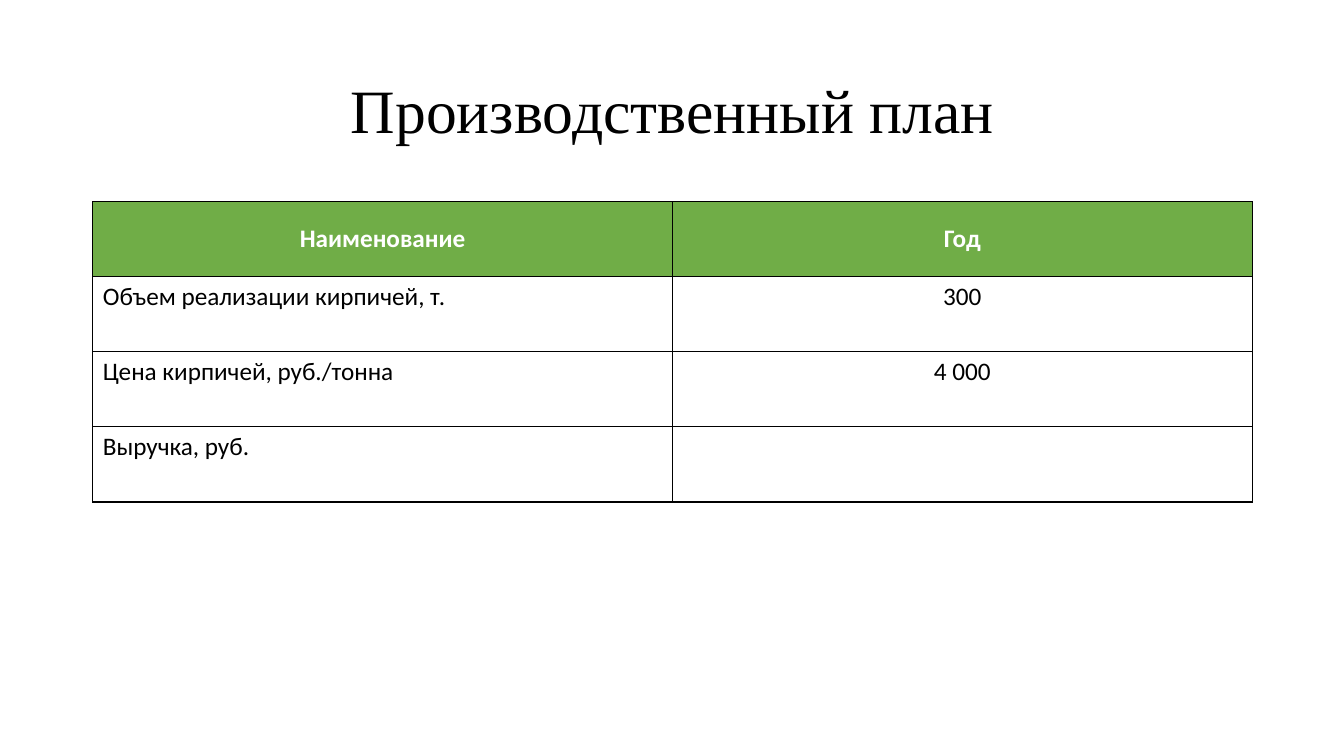
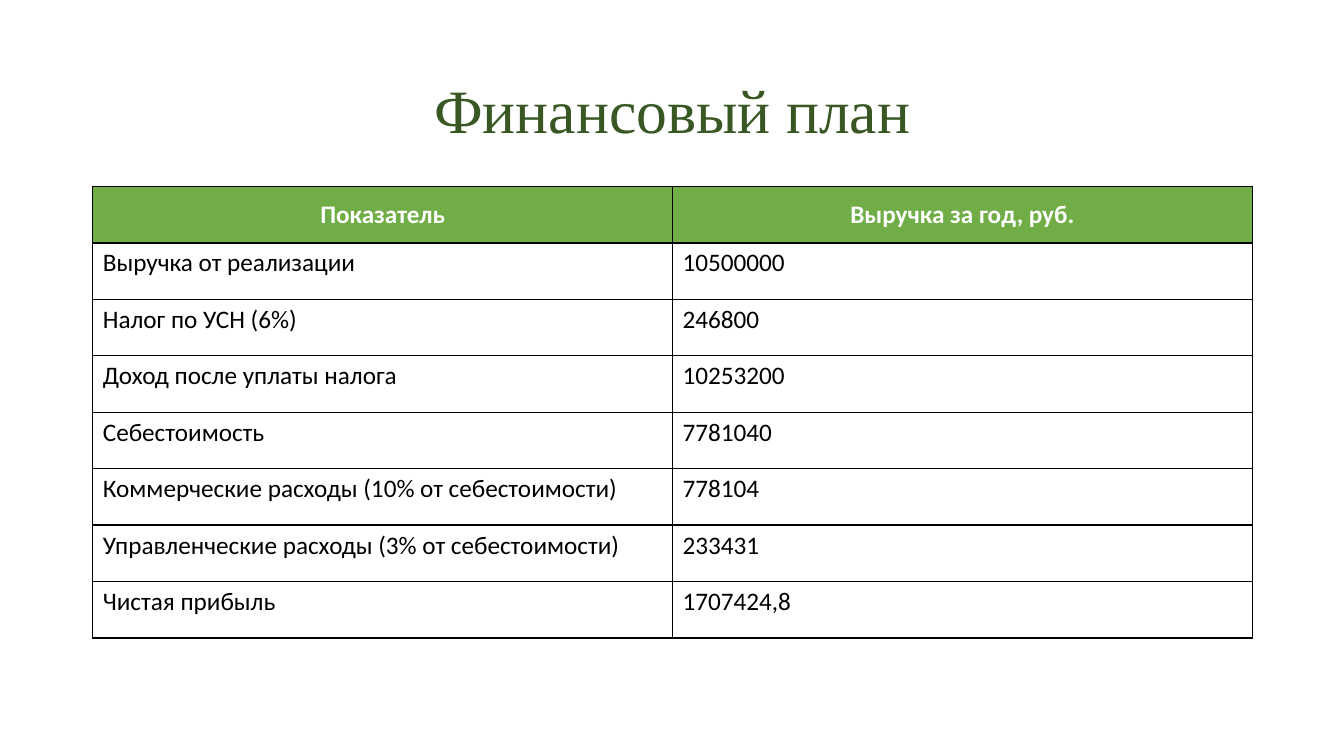
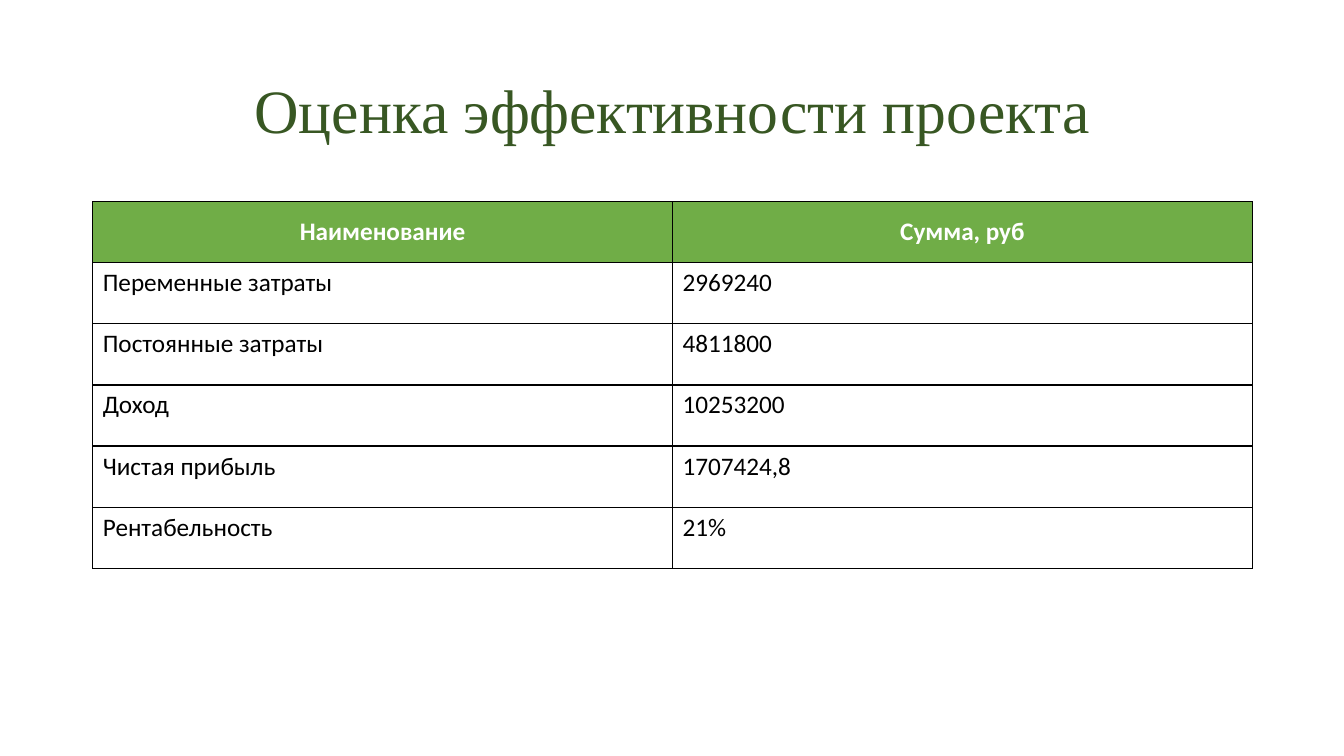
from lxml import etree
from pptx import Presentation
from pptx.dml.color import RGBColor
from pptx.enum.text import MSO_ANCHOR as Anchor, PP_ALIGN as Align
from pptx.oxml.ns import qn
from pptx.util import Inches, Pt

COLORS = {
    "black": "000000",
    "white": "FFFFFF",
    "header": "70AD47",
    "dark_green": "385723",
}
LEFT, WIDTH = 0.92, 11.5
TITLE_BOX = (LEFT, 0.4, WIDTH, 1.45)
TITLE_FONT, BODY_FONT = "Times New Roman", "Calibri"
TITLE_ONLY = 5


def color(name):
    return RGBColor.from_string(COLORS[name])


def set_font(para, name, size, color_name, bold=False):
    font = para.font
    font.name, font.size, font.bold = name, Pt(size), bold
    font.color.rgb = color(color_name)


def add_title(page, box, text, color_name):
    title = page.shapes.title
    title.left, title.top, title.width, title.height = map(Inches, box)
    frame = title.text_frame
    frame.text = text
    frame.word_wrap = True
    frame.vertical_anchor = Anchor.MIDDLE
    para = frame.paragraphs[0]
    para.alignment = Align.CENTER
    para.line_spacing = 0.9
    set_font(para, TITLE_FONT, 44, color_name)


def add_borders(cell):
    properties = cell._tc.get_or_add_tcPr()
    for side in ("lnL", "lnR", "lnT", "lnB"):
        line = etree.SubElement(properties, qn(f"a:{side}"), w=str(Pt(1)))
        fill = etree.SubElement(line, qn("a:solidFill"))
        etree.SubElement(fill, qn("a:srgbClr"), val=COLORS["black"])


def format_cell(cell, text, is_header, align):
    add_borders(cell)
    cell.fill.solid()
    cell.fill.fore_color.rgb = color("header" if is_header else "white")
    cell.vertical_anchor = Anchor.MIDDLE if is_header else Anchor.TOP
    cell.text = text
    para = cell.text_frame.paragraphs[0]
    para.alignment = Align.CENTER if is_header else align
    set_font(para, BODY_FONT, 18, "white" if is_header else "black", is_header)


def add_table(page, box, rows, value_align):
    """Fill the box with equal rows and columns; the first row is the header."""
    aligns = (Align.LEFT, value_align)
    table = page.shapes.add_table(len(rows), len(aligns), *map(Inches, box)).table
    table.horz_banding = False
    for row_index, texts in enumerate(rows):
        for column, (text, align) in enumerate(zip(texts, aligns)):
            format_cell(table.cell(row_index, column), text, row_index == 0, align)


def add_table_page(deck, title, rows, top, height,
                   title_color="dark_green", value_align=Align.LEFT):
    page = deck.slides.add_slide(deck.slide_layouts[TITLE_ONLY])
    add_title(page, TITLE_BOX, title, title_color)
    add_table(page, (LEFT, top, WIDTH, height), rows, value_align)


PRODUCTION = [
    ("Наименование", "Год"),
    ("Объем реализации кирпичей, т.", "300"),
    ("Цена кирпичей, руб./тонна", "4 000"),
    ("Выручка, руб.", ""),
]
FINANCE = [
    ("Показатель", "Выручка за год, руб."),
    ("Выручка от реализации", "10500000"),
    ("Налог по УСН (6%)", "246800"),
    ("Доход после уплаты налога", "10253200"),
    ("Себестоимость", "7781040"),
    ("Коммерческие расходы (10% от себестоимости)", "778104"),
    ("Управленческие расходы (3% от себестоимости)", "233431"),
    ("Чистая прибыль", "1707424,8"),
]
EFFICIENCY = [
    ("Наименование", "Сумма, руб"),
    ("Переменные затраты", "2969240"),
    ("Постоянные затраты", "4811800"),
    ("Доход", "10253200"),
    ("Чистая прибыль", "1707424,8"),
    ("Рентабельность", "21%"),
]


def main():
    deck = Presentation()
    deck.slide_width, deck.slide_height = Inches(13.33), Inches(7.5)
    add_table_page(deck, "Производственный план", PRODUCTION, 2, 2.98,
                   title_color="black", value_align=Align.CENTER)
    add_table_page(deck, "Финансовый план", FINANCE, 1.85, 4.48)
    add_table_page(deck, "Оценка эффективности проекта", EFFICIENCY, 2, 3.64)
    deck.save("out.pptx")


if __name__ == "__main__":
    main()
